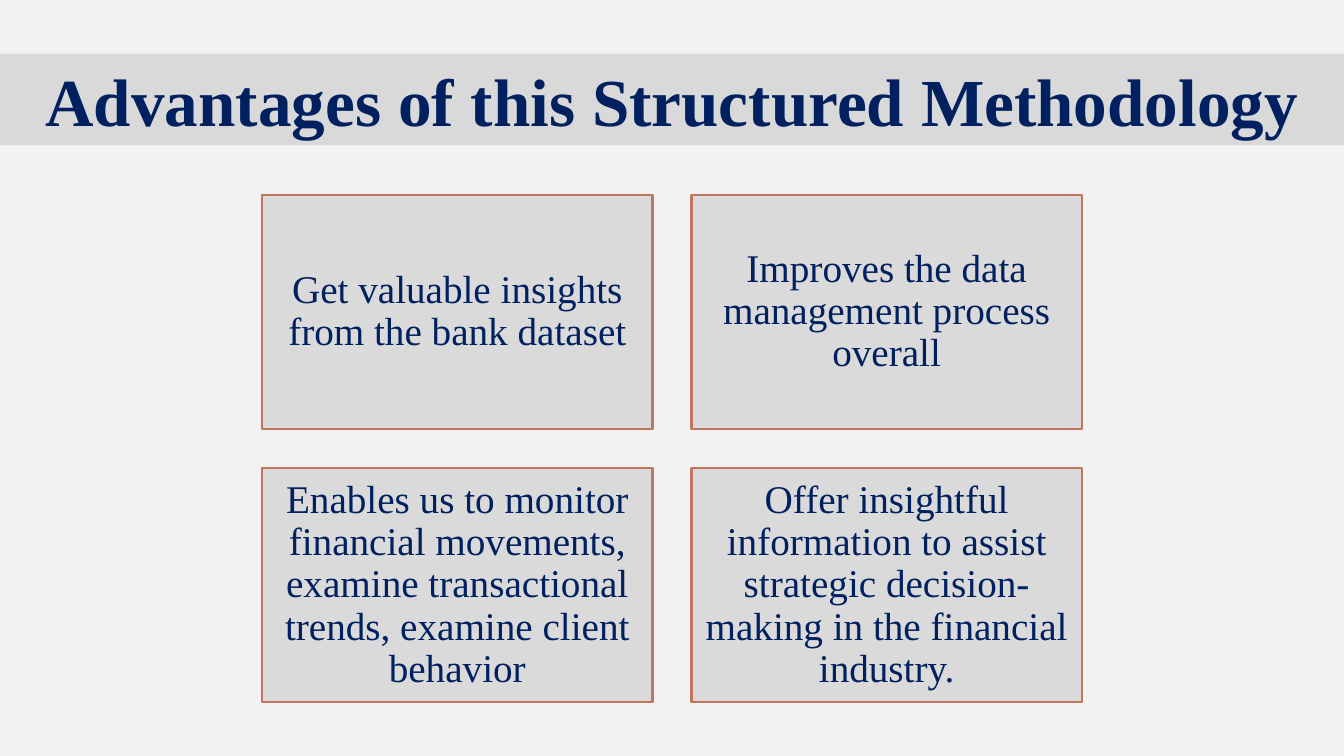
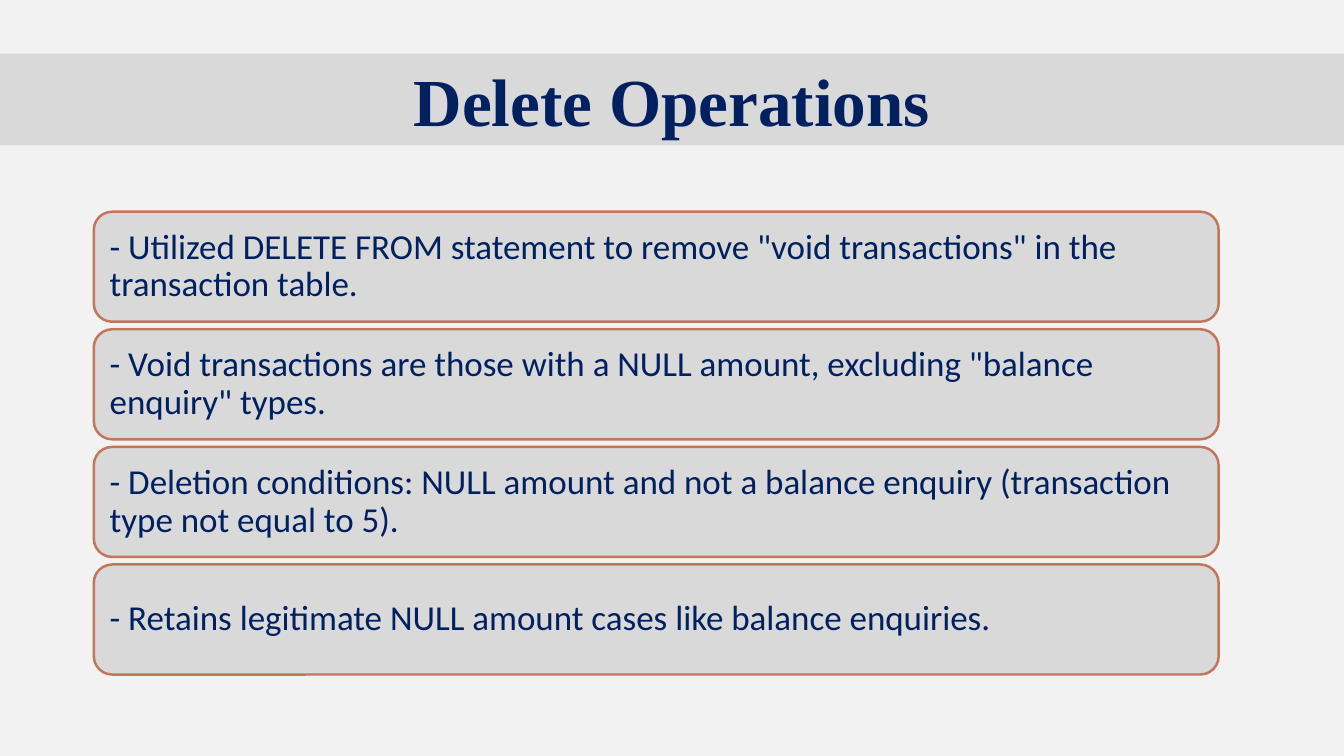
from lxml import etree
from pptx import Presentation
from pptx.dml.color import RGBColor
from pptx.enum.shapes import MSO_SHAPE
from pptx.enum.text import MSO_ANCHOR, PP_ALIGN
from pptx.oxml.ns import qn
from pptx.util import Pt

RECT, ROUNDED = MSO_SHAPE.RECTANGLE, MSO_SHAPE.ROUNDED_RECTANGLE
MIDDLE, BOTTOM = MSO_ANCHOR.MIDDLE, MSO_ANCHOR.BOTTOM
LEFT, CENTER = PP_ALIGN.LEFT, PP_ALIGN.CENTER

# Shared style, lengths in points
SLIDE_W, SLIDE_H = 960, 540
PAPER, PANEL, RUST, NAVY = "F2F2F2", "D9D9D9", "C1755A", "002060"
SERIF, SANS = "Times New Roman", "Calibri"

ADVANTAGES = [
    "Get valuable insights from the bank dataset",
    "Improves the data management process overall",
    "Enables us to monitor financial movements, examine transactional "
    "trends, examine client behavior",
    "Offer insightful information to assist strategic decision-making "
    "in the financial industry.",
]
DELETE_STEPS = [
    '- Utilized DELETE FROM statement to remove "void transactions" in the '
    "transaction table.",
    '- Void transactions are those with a NULL amount, excluding "balance '
    'enquiry" types.',
    "- Deletion conditions: NULL amount and not a balance enquiry "
    "(transaction type not equal to 5).",
    "- Retains legitimate NULL amount cases like balance enquiries.",
]


def color(hex_code):
    return RGBColor.from_string(hex_code)


def add_panel(slide, kind, left, top, width, height):
    """Add a grey panel without shadow or outline."""
    panel = slide.shapes.add_shape(
        kind, Pt(left), Pt(top), Pt(width), Pt(height))
    panel.shadow.inherit = False
    panel.fill.solid()
    panel.fill.fore_color.rgb = color(PANEL)
    panel.line.fill.background()
    return panel


def outline(panel):
    panel.line.color.rgb = color(RUST)
    panel.line.width = Pt(1.75)


def set_opacity(panel, percent):
    fill_color = panel.fill._xPr.find(qn("a:solidFill"))[0]
    etree.SubElement(fill_color, qn("a:alpha"), val=str(percent * 1000))


def write(panel, text, font_name, size, align, anchor, inset=None,
          spacing=1.0, bold=False):
    """Write one paragraph; inset overrides all four margins."""
    frame = panel.text_frame
    frame.word_wrap = True
    frame.vertical_anchor = anchor
    if inset is not None:
        frame.margin_left = frame.margin_right = Pt(inset)
        frame.margin_top = frame.margin_bottom = Pt(inset)
    paragraph = frame.paragraphs[0]
    paragraph.text = text
    paragraph.alignment = align
    paragraph.line_spacing = spacing
    font = paragraph.font
    font.name, font.size, font.bold = font_name, Pt(size), bold
    font.color.rgb = color(NAVY)


def add_titled_slide(prs, title):
    slide = prs.slides.add_slide(prs.slide_layouts[6])
    band = add_panel(slide, RECT, 0, 38.3, SLIDE_W, 65.4)
    write(band, title, SERIF, 48, CENTER, BOTTOM, bold=True)
    return slide


def add_card_grid(slide, texts, columns=2):
    """Lay out equal cards in a horizontally centred grid."""
    width, height, gap, top = 278.8, 167.2, 27.9, 139.2
    left = (SLIDE_W - columns * width - (columns - 1) * gap) / 2
    for index, text in enumerate(texts):
        row, column = divmod(index, columns)
        card = add_panel(slide, RECT, left + column * (width + gap),
                         top + row * (height + gap), width, height)
        set_opacity(card, 94)
        outline(card)
        write(card, text, SERIF, 28, CENTER, MIDDLE, 8.4, 0.9)


def add_step_list(slide, texts):
    """Stack rounded full-width rows at an equal pitch."""
    left, top, width, height, pitch = 67, 151.2, 803.5, 78.6, 84
    for index, text in enumerate(texts):
        step = add_panel(slide, ROUNDED, left, top + index * pitch,
                         width, height)
        outline(step)
        write(step, text, SANS, 25, LEFT, MIDDLE, 7.5, 0.9)


def main():
    prs = Presentation()
    prs.slide_width, prs.slide_height = Pt(SLIDE_W), Pt(SLIDE_H)
    backdrop = prs.slide_master.background.fill
    backdrop.solid()
    backdrop.fore_color.rgb = color(PAPER)

    # Advantages
    slide = add_titled_slide(prs, "Advantages of this Structured Methodology")
    add_card_grid(slide, ADVANTAGES)

    # Delete operations
    slide = add_titled_slide(prs, "Delete Operations")
    add_step_list(slide, DELETE_STEPS)

    prs.save("out.pptx")


if __name__ == "__main__":
    main()
